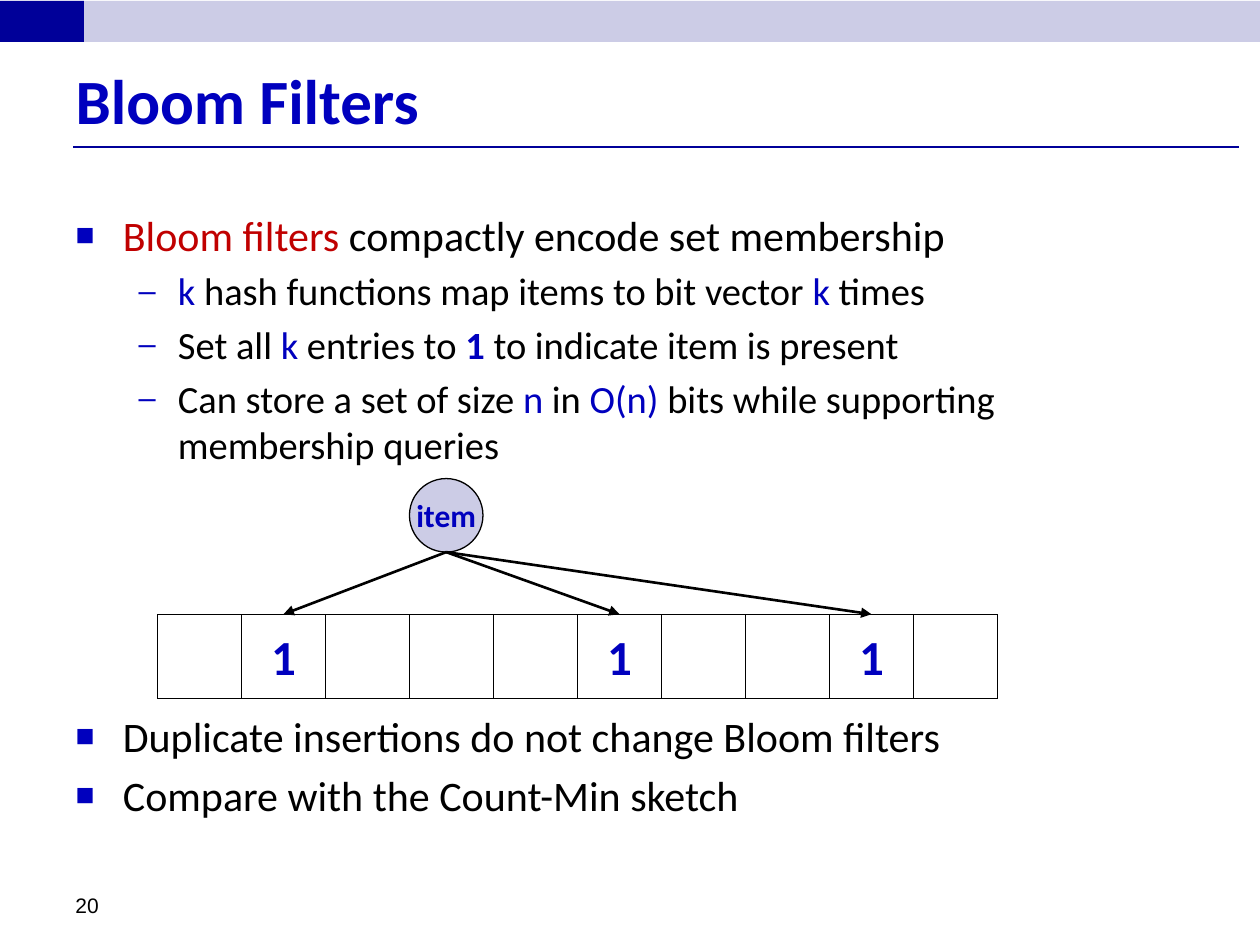
from dataclasses import dataclass

from lxml import etree
from pptx import Presentation, util as u
from pptx.dml.color import RGBColor
from pptx.enum import shapes, text
from pptx.oxml import ns

BLUE, NAVY, LILAC, RED, BLACK = "0000BE", "000099", "CCCCE6", "C00000", "000000"


@dataclass
class Box:
    left: float
    top: float
    width: float
    height: float

    def lengths(self) -> list:
        return [u.Pt(v) for v in (self.left, self.top, self.width, self.height)]


@dataclass
class Run:
    words: str
    color: str = BLACK
    bold: bool = False


@dataclass
class Bullet:
    runs: list[Run]
    level: int = 0
    gap: float | None = None  # space before, when it differs from the template


@dataclass
class BulletStyle:
    mark: str
    mark_percent: int
    size: int
    margin: float
    hang: float


STYLES = [BulletStyle("■", 75, 24, 27, 27), BulletStyle("–", 80, 22, 58.5, 22.5)]

BULLETS = [
    Bullet([Run("Bloom filters ", RED), Run("compactly encode set membership")]),
    Bullet([Run("k", BLUE), Run(" hash functions map items to bit vector "),
            Run("k", BLUE), Run(" times")], 1),
    Bullet([Run("Set all "), Run("k", BLUE), Run(" entries to "),
            Run("1", BLUE, True), Run(" to indicate item is present")], 1),
    Bullet([Run("Can store a set of size "), Run("n", BLUE), Run(" in "),
            Run("O(n) ", BLUE), Run("bits while supporting membership queries")], 1),
    # The bit vector diagram sits in the gap above this bullet
    Bullet([Run("Duplicate insertions do not change Bloom filters")], gap=139),
    Bullet([Run("Compare with the Count-Min sketch")]),
]

BITS = "0100010010"
CELL = 48
VECTOR = Box(90, 351, CELL * len(BITS), CELL)
ITEM = Box(234, 273.5, 42, 42)


def rgb(color: str) -> RGBColor:
    return RGBColor.from_string(color)


def apply(target, **values) -> None:
    for name, value in values.items():
        setattr(target, name, value)


def add_run(paragraph, run: Run, size: float, font: str = "Calibri") -> None:
    part = paragraph.add_run()
    part.text = run.words
    apply(part.font, name=font, size=u.Pt(size), bold=run.bold)
    part.font.color.rgb = rgb(run.color)


def add_box(slide, kind, box: Box, fill: str | None = None, line: str | None = None,
            label: str = "", size: float = 18) -> None:
    shape = slide.shapes.add_shape(kind, *box.lengths())
    shape.shadow.inherit = False
    if fill:
        shape.fill.solid()
        shape.fill.fore_color.rgb = rgb(fill)
    else:
        shape.fill.background()
    if line:
        shape.line.color.rgb = rgb(line)
        shape.line.width = u.Pt(0.75)
    else:
        shape.line.fill.background()
    if label:
        apply(shape.text_frame, word_wrap=False, vertical_anchor=text.MSO_ANCHOR.MIDDLE)
        paragraph = shape.text_frame.paragraphs[0]
        paragraph.alignment = text.PP_ALIGN.CENTER
        add_run(paragraph, Run(label, BLUE, True), size)


def add_line(slide, start: tuple[float, float], end: tuple[float, float],
             color: str, width: float, arrow: bool = False) -> None:
    line = slide.shapes.add_connector(
        shapes.MSO_CONNECTOR.STRAIGHT, *(u.Pt(v) for v in start + end))
    line.line.color.rgb = rgb(color)
    line.line.width = u.Pt(width)
    if arrow:
        etree.SubElement(line.line._get_or_add_ln(), ns.qn("a:tailEnd"), type="triangle")
    etree.SubElement(line._element.spPr, ns.qn("a:effectLst"))


def place(shape, box: Box, anchor):
    apply(shape, **dict(zip(("left", "top", "width", "height"), box.lengths())))
    apply(shape.text_frame, word_wrap=True, auto_size=text.MSO_AUTO_SIZE.NONE,
          vertical_anchor=anchor)
    return shape.text_frame


def format_bullet(paragraph, style: BulletStyle) -> None:
    properties = paragraph._p.get_or_add_pPr()
    properties.set("marL", str(u.Pt(style.margin)))
    properties.set("indent", str(-u.Pt(style.hang)))
    color = etree.SubElement(properties, ns.qn("a:buClr"))
    etree.SubElement(color, ns.qn("a:srgbClr"), val=BLUE)
    etree.SubElement(properties, ns.qn("a:buSzPct"), val=str(style.mark_percent * 1000))
    etree.SubElement(properties, ns.qn("a:buFont"), typeface="Arial")
    etree.SubElement(properties, ns.qn("a:buChar"), char=style.mark)


def add_bullets(frame, bullets: list[Bullet]) -> None:
    for index, bullet in enumerate(bullets):
        paragraph = frame.add_paragraph() if index else frame.paragraphs[0]
        style = STYLES[bullet.level]
        paragraph.level = bullet.level
        if bullet.gap is not None:
            paragraph.space_before = u.Pt(bullet.gap)
        format_bullet(paragraph, style)
        for run in bullet.runs:
            add_run(paragraph, run, style.size)


def add_bit_vector(slide) -> None:
    rectangle = shapes.MSO_SHAPE.RECTANGLE
    add_box(slide, shapes.MSO_SHAPE.OVAL, ITEM, LILAC, BLACK, "item")
    add_box(slide, rectangle, VECTOR, line=BLACK)
    source = (ITEM.left + ITEM.width / 2, ITEM.top + ITEM.height)
    for index, bit in enumerate(BITS):
        cell = Box(VECTOR.left + index * CELL, VECTOR.top, CELL, CELL)
        is_set = bit == "1"
        add_box(slide, rectangle, cell, line=BLACK, label=bit if is_set else "", size=28)
        if is_set:
            add_line(slide, source, (cell.left + CELL / 2, cell.top), BLACK, 1.5, True)


def main() -> None:
    presentation = Presentation()
    apply(presentation, slide_width=u.Pt(720), slide_height=u.Pt(540))
    slide = presentation.slides.add_slide(presentation.slide_layouts[1])

    # Header bands and title rule
    add_box(slide, shapes.MSO_SHAPE.RECTANGLE, Box(0, 0.5, 720, 23.5), LILAC)
    add_box(slide, shapes.MSO_SHAPE.RECTANGLE, Box(0, 0.5, 48, 23.5), NAVY)
    add_line(slide, (42, 84), (708, 84), NAVY, 0.75)

    # Title and bullets
    title = place(slide.shapes.title, Box(36, 24, 684, 66), text.MSO_ANCHOR.MIDDLE)
    title.paragraphs[0].alignment = text.PP_ALIGN.LEFT
    add_run(title.paragraphs[0], Run("Bloom Filters", BLUE, True), 36)
    body = place(slide.placeholders[1], Box(36, 116, 648, 346), text.MSO_ANCHOR.TOP)
    add_bullets(body, BULLETS)

    # Diagram
    add_bit_vector(slide)

    # Slide number
    number_box = Box(36, 492, 168, 36)
    number = place(slide.shapes.add_textbox(*number_box.lengths()), number_box,
                   text.MSO_ANCHOR.BOTTOM)
    add_run(number.paragraphs[0], Run("20"), 12, "Arial")

    presentation.save("out.pptx")


if __name__ == "__main__":
    main()
